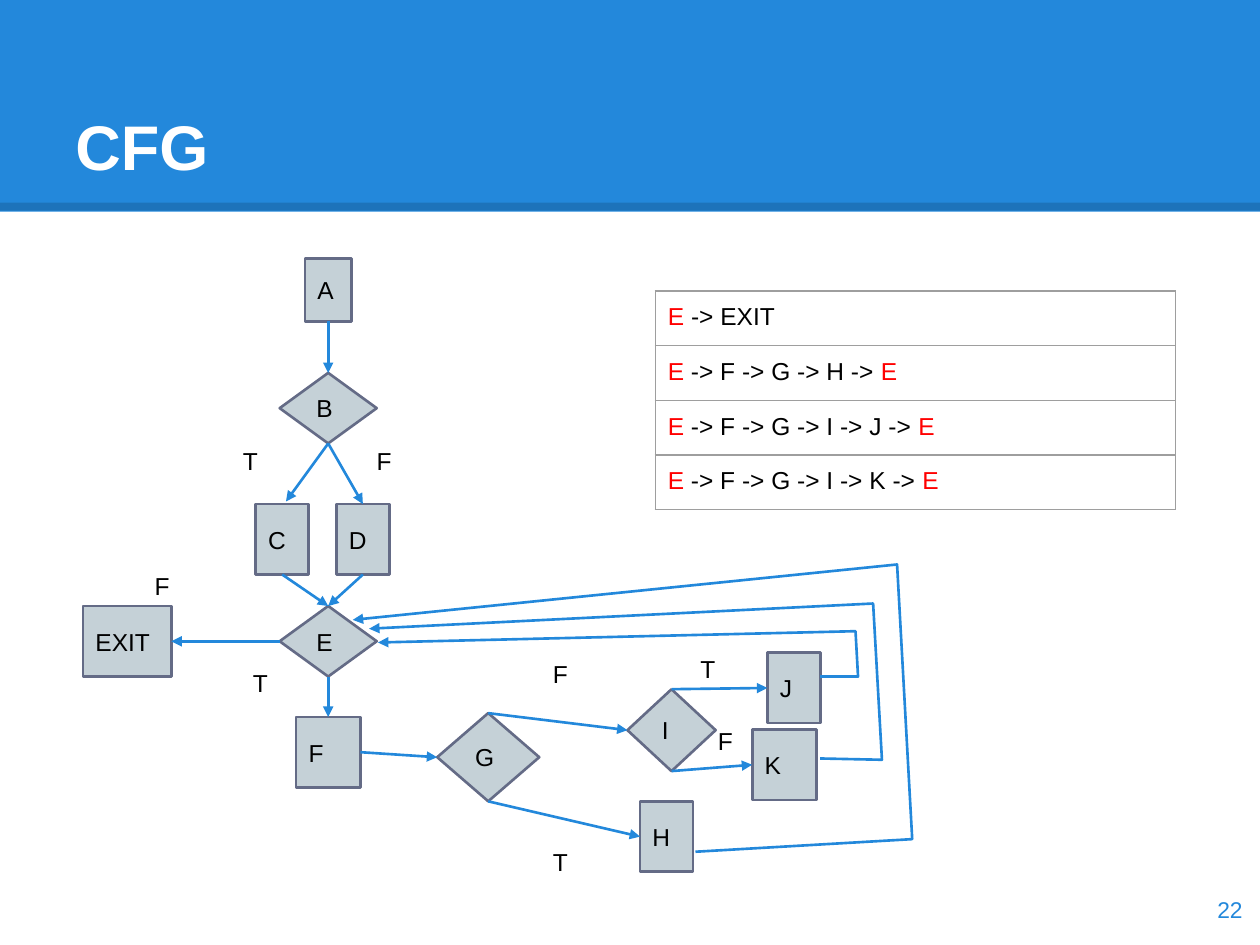
from dataclasses import dataclass

from lxml import etree
from pptx import Presentation
from pptx import util as u
from pptx.dml.color import RGBColor
from pptx.enum import shapes, text
from pptx.oxml import ns

TOP, LEFT, BOTTOM, RIGHT = range(4)
RECTANGLE = shapes.MSO_SHAPE.RECTANGLE
DIAMOND = shapes.MSO_SHAPE.DIAMOND


@dataclass(frozen=True)
class Theme:
    font: str = "Arial"
    accent: str = "2388DB"
    node_fill: str = "C5D1D7"
    node_line: str = "646B86"
    grid: str = "9E9E9E"
    ink: str = "000000"
    paper: str = "FFFFFF"
    highlight: str = "FF0000"
    title_size: float = 36
    body_size: float = 14
    number_size: float = 13
    line_width: float = 1.5
    band_width: float = 4.5
    grid_width: float = 0.75


def color(value):
    return RGBColor.from_string(value)


def add_xml(parent, tag, **attributes):
    return etree.SubElement(parent, ns.qn(tag), attributes)


class CfgSlide:
    def __init__(self, presentation, theme):
        self.theme = theme
        self.slide = presentation.slides.add_slide(presentation.slide_layouts[6])
        self.shapes = self.slide.shapes

    def style_font(self, font, size, value, bold=False):
        font.name = self.theme.font
        font.size = u.Pt(size)
        font.bold = bold
        font.color.rgb = color(value)

    def set_text(self, frame, words, size, value, anchor, align=text.PP_ALIGN.LEFT, bold=False):
        frame.word_wrap = True
        frame.vertical_anchor = anchor
        frame.margin_left = frame.margin_right = u.Inches(0.1)
        frame.margin_top = frame.margin_bottom = u.Inches(0.1)
        paragraph = frame.paragraphs[0]
        paragraph.text = words
        paragraph.alignment = align
        self.style_font(paragraph.font, size, value, bold)

    def textbox(self, box, words, size, value, anchor, **options):
        shape = self.shapes.add_textbox(*map(u.Inches, box))
        self.set_text(shape.text_frame, words, size, value, anchor, **options)

    def label(self, words, left, top, height=0.5):
        self.textbox((left, top, 0.37, height), words, self.theme.body_size,
                     self.theme.ink, text.MSO_ANCHOR.TOP)

    def block(self, kind, box, fill):
        shape = self.shapes.add_shape(kind, *map(u.Inches, box))
        shape.shadow.inherit = False
        shape.fill.solid()
        shape.fill.fore_color.rgb = color(fill)
        shape.line.fill.background()
        return shape

    def node(self, kind, words, box):
        shape = self.block(kind, box, self.theme.node_fill)
        shape.line.color.rgb = color(self.theme.node_line)
        shape.line.width = u.Pt(self.theme.line_width)
        self.set_text(shape.text_frame, words, self.theme.body_size,
                      self.theme.ink, text.MSO_ANCHOR.MIDDLE)
        return shape

    def style_line(self, shape, value, width):
        shape.line.color.rgb = color(value)
        shape.line.width = u.Pt(width)
        return shape.element.spPr.find(ns.qn("a:ln"))

    def arrow_line(self, shape):
        line = self.style_line(shape, self.theme.accent, self.theme.line_width)
        add_xml(line, "a:tailEnd", type="triangle")

    def connector(self, start=(0, 0), end=(0, 0)):
        return self.shapes.add_connector(
            shapes.MSO_CONNECTOR.STRAIGHT, *map(u.Inches, start + end))

    def arrow(self, source, source_side, target, target_side):
        connector = self.connector()
        connector.begin_connect(source, source_side)
        connector.end_connect(target, target_side)
        self.finish_arrow(connector)

    def arrow_to_point(self, source, source_side, point):
        connector = self.connector(end=point)
        connector.begin_connect(source, source_side)
        self.finish_arrow(connector)

    def finish_arrow(self, connector):
        self.arrow_line(connector)
        add_xml(connector.element.spPr, "a:effectLst")

    def band(self, start, end):
        connector = self.connector(start, end)
        line = self.style_line(connector, self.theme.ink, self.theme.band_width)
        add_xml(line.find(".//" + ns.qn("a:srgbClr")), "a:alpha", val="15000")
        add_xml(connector.element.spPr, "a:effectLst")

    def back_edge(self, points):
        start, *rest = [tuple(map(u.Inches, point)) for point in points]
        builder = self.shapes.build_freeform(*start)
        builder.add_line_segments(rest, close=False)
        shape = builder.convert_to_shape()
        shape.shadow.inherit = False
        shape.fill.background()
        self.arrow_line(shape)

    def table(self, left, top, width, row_height, rows):
        frame = self.shapes.add_table(
            len(rows), 1, u.Inches(left), u.Inches(top),
            u.Inches(width), u.Inches(row_height * len(rows)))
        table = frame.table
        table.first_row = table.horz_banding = False
        for index, runs in enumerate(rows):
            self.cell(table.cell(index, 0), runs)

    def cell(self, cell, runs):
        cell.margin_left = cell.margin_right = u.Inches(0.1)
        cell.margin_top = cell.margin_bottom = u.Inches(0.1)
        properties = cell._tc.get_or_add_tcPr()
        for side in ("a:lnL", "a:lnR", "a:lnT", "a:lnB"):
            line = add_xml(properties, side, w=str(u.Pt(self.theme.grid_width)))
            add_xml(add_xml(line, "a:solidFill"), "a:srgbClr", val=self.theme.grid)
        cell.fill.solid()
        cell.fill.fore_color.rgb = color(self.theme.paper)
        paragraph = cell.text_frame.paragraphs[0]
        for words in runs:
            run = paragraph.add_run()
            run.text = words
            value = self.theme.highlight if words.strip() == "E" else self.theme.ink
            self.style_font(run.font, self.theme.body_size, value)


def main():
    presentation = Presentation()
    presentation.slide_width = u.Inches(10)
    presentation.slide_height = u.Inches(7.5)
    theme = Theme()
    page = CfgSlide(presentation, theme)

    page.block(RECTANGLE, (0, 0, 10, 1.68), theme.accent)
    page.band((0, 1.64), (10, 1.64))
    page.textbox((0.5, 0.3, 9, 1.25), "CFG", theme.title_size, theme.paper,
                 text.MSO_ANCHOR.BOTTOM, bold=True)

    boxes = {
        "A": (RECTANGLE, 2.42, 2.05, 0.37, 0.5),
        "B": (DIAMOND, 2.22, 2.96, 0.77, 0.56),
        "C": (RECTANGLE, 2.03, 4, 0.42, 0.56),
        "D": (RECTANGLE, 2.67, 4, 0.42, 0.56),
        "E": (DIAMOND, 2.22, 4.81, 0.77, 0.56),
        "EXIT": (RECTANGLE, 0.66, 4.81, 0.7, 0.56),
        "F": (RECTANGLE, 2.35, 5.69, 0.51, 0.56),
        "G": (DIAMOND, 3.47, 5.66, 0.81, 0.7),
        "H": (RECTANGLE, 5.08, 6.36, 0.42, 0.56),
        "I": (DIAMOND, 4.98, 5.47, 0.7, 0.65),
        "J": (RECTANGLE, 6.09, 5.18, 0.42, 0.56),
        "K": (RECTANGLE, 5.97, 5.79, 0.51, 0.56),
    }
    nodes = {name: page.node(kind, name, box) for name, (kind, *box) in boxes.items()}

    for source, source_side, target, target_side in (
        ("A", BOTTOM, "B", TOP), ("B", BOTTOM, "D", TOP),
        ("C", BOTTOM, "E", TOP), ("D", BOTTOM, "E", TOP),
        ("E", LEFT, "EXIT", RIGHT), ("E", BOTTOM, "F", TOP),
        ("F", RIGHT, "G", LEFT), ("G", TOP, "I", LEFT), ("G", BOTTOM, "H", LEFT),
        ("I", TOP, "J", LEFT), ("I", BOTTOM, "K", LEFT),
    ):
        page.arrow(nodes[source], source_side, nodes[target], target_side)
    page.arrow_to_point(nodes["B"], BOTTOM, (2.27, 3.98))

    page.back_edge([(6.51, 5.37), (6.81, 5.37), (6.79, 5.01), (3, 5.1)])
    page.back_edge([(6.51, 6.02), (7, 6.03), (6.93, 4.79), (2.93, 4.99)])
    page.back_edge([(5.52, 6.76), (7.24, 6.66), (7.12, 4.48), (2.8, 4.92)])

    for words, left, top in (
        ("F", 2.89, 3.44), ("T", 1.83, 3.44), ("F", 1.13, 4.43), ("T", 1.91, 5.2),
        ("T", 4.29, 6.62), ("F", 4.29, 5.13), ("F", 5.6, 5.66),
    ):
        page.label(words, left, top)
    page.label("T", 5.46, 5.09, height=0.23)

    page.table(5.2, 2.31, 4.13, 0.39, [
        ("E ", "-> EXIT"),
        ("E", " -> F -> G -> H -> ", "E"),
        ("E", " -> F -> G -> I -> J -> ", "E"),
        ("E", " -> F -> G -> I -> K -> ", "E"),
    ])
    page.textbox((9.36, 6.93, 0.6, 0.57), "22", theme.number_size, theme.accent,
                 text.MSO_ANCHOR.MIDDLE, align=text.PP_ALIGN.RIGHT)
    presentation.save("out.pptx")


if __name__ == "__main__":
    main()
